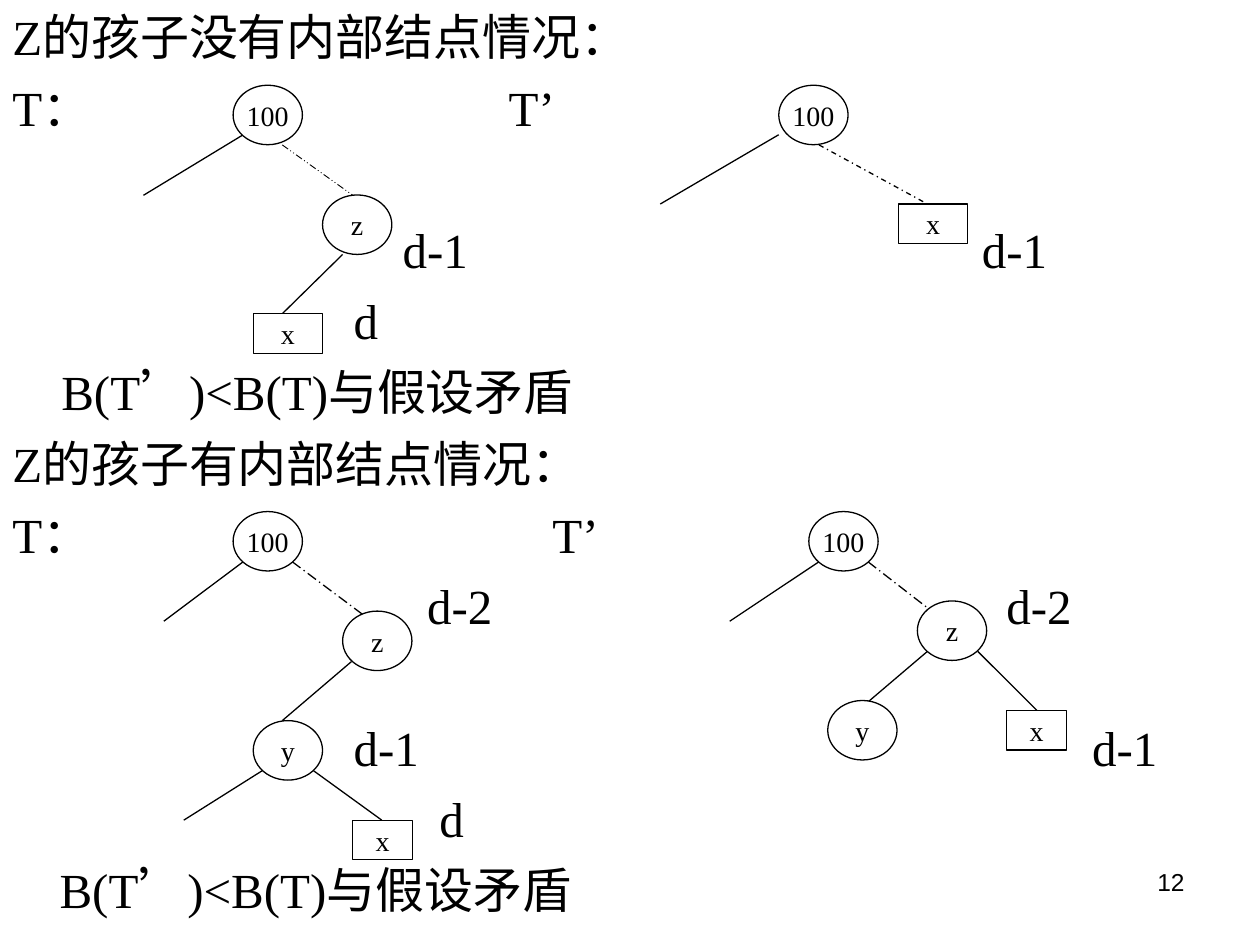
from lxml.etree import SubElement
from pptx import Presentation
from pptx.dml.color import RGBColor
from pptx.enum.dml import MSO_LINE
from pptx.enum.shapes import MSO_CONNECTOR, MSO_SHAPE
from pptx.enum.text import MSO_ANCHOR, PP_ALIGN
from pptx.oxml.ns import qn
from pptx.util import Pt

BLACK, WHITE = "000000", "FFFFFF"
SERIF, SANS = "Times New Roman", "Arial"
LINE_HEIGHT, GAP = 33.65, 7
CIRCLE, WIDE_LEAF, LEAF = (39.6, 34), (39.6, 22.6), (34, 22.6)

# Text lines: wording, tab stops, number of empty rows above
BODY = [
    ("Z的孩子没有内部结点情况：", [], 0),
    ("T：\tT’", [283.6], 0),
    ("\td-1\td-1", [223, 554], 1),
    ("\td", [195], 0),
    ("\tB(T’)<B(T)与假设矛盾", [28], 0),
    ("Z的孩子有内部结点情况：", [], 0),
    ("T：\tT’", [308.6], 0),
    ("\td-2\td-2", [237, 568], 0),
    ("\td-1\td-1", [195, 617], 1),
    ("\td", [244], 0),
    ("\tB(T’)<B(T)与假设矛盾", [27], 0),
]

# Tree edges: start, end
SOLID_EDGES = [
    (139, 77, 82, 111.6), (445, 77, 377.3, 116.6), (195.8, 145.4, 161.3, 179.3),
    (139, 321, 93.6, 355), (200.9, 378, 161.3, 411.8),
    (150.5, 440, 105, 468.7), (178.6, 440, 218.2, 468.7),
    (468, 321, 417, 355), (530, 372.2, 490.3, 406), (558.7, 372.2, 592.6, 406),
]
# Dashed edges add a dash style and a weight
DASHED_EDGES = [
    (161.3, 82.8, 201.6, 111.6, MSO_LINE.DASH_DOT_DOT, 0.5),
    (468, 82.8, 530, 116.6, MSO_LINE.DASH_DOT, 0.75),
    (167, 321, 212.4, 355, MSO_LINE.LONG_DASH_DOT, 0.75),
    (496, 321, 547.2, 360.7, MSO_LINE.LONG_DASH_DOT, 0.75),
]

# Tree nodes: label, left, top, size
NODES = [
    ("100", 133.2, 48.7, CIRCLE), ("z", 184.3, 111.4, CIRCLE),
    ("x", 144.7, 179.3, WIDE_LEAF),
    ("100", 445, 48.7, CIRCLE), ("x", 513.4, 116.6, WIDE_LEAF),
    ("100", 133.2, 292.3, CIRCLE), ("z", 195.8, 349.2, CIRCLE),
    ("y", 144.7, 411.8, CIRCLE), ("x", 201.6, 468.7, LEAF),
    ("100", 462.2, 292.3, CIRCLE), ("z", 524.2, 343.4, CIRCLE),
    ("y", 473, 400.3, CIRCLE), ("x", 575.3, 406, LEAF),
]


def color(value):
    return RGBColor.from_string(value)


def format_paragraph(para, size, font=SERIF):
    for span in para.runs:
        span.font.size = Pt(size)
        span.font.name = font
        span.font.color.rgb = color(BLACK)


def set_tabs(para, stops):
    tab_list = SubElement(para._p.get_or_add_pPr(), qn("a:tabLst"))
    for stop in stops:
        SubElement(tab_list, qn("a:tab"), pos=str(int(Pt(stop))), algn="l")


def add_text_box(slide, left, top, width, height):
    box = slide.shapes.add_textbox(Pt(left), Pt(top), Pt(width), Pt(height))
    box.text_frame.word_wrap = True
    return box.text_frame


def add_body(slide):
    frame = add_text_box(slide, 0, 0, 702.7, 540)
    for index, (text, stops, empty_rows) in enumerate(BODY):
        para = frame.add_paragraph() if index else frame.paragraphs[0]
        para.text = text
        para.line_spacing = Pt(LINE_HEIGHT)
        para.space_before = Pt(GAP + empty_rows * (LINE_HEIGHT + GAP))
        if stops:
            set_tabs(para, stops)
        format_paragraph(para, 28)


def add_edge(slide, x1, y1, x2, y2, dash=None, weight=0.75):
    edge = slide.shapes.add_connector(
        MSO_CONNECTOR.STRAIGHT, Pt(x1), Pt(y1), Pt(x2), Pt(y2))
    edge.line.color.rgb = color(BLACK)
    edge.line.width = Pt(weight)
    if dash:
        edge.line.dash_style = dash
    SubElement(edge._element.spPr, qn("a:effectLst"))


def add_node(slide, label, left, top, size):
    kind = MSO_SHAPE.OVAL if size == CIRCLE else MSO_SHAPE.RECTANGLE
    node = slide.shapes.add_shape(kind, Pt(left), Pt(top), Pt(size[0]), Pt(size[1]))
    node.shadow.inherit = False
    node.fill.solid()
    node.fill.fore_color.rgb = color(WHITE)
    node.line.color.rgb = color(BLACK)
    node.line.width = Pt(0.75)
    frame = node.text_frame
    frame.text = label
    frame.word_wrap = False
    frame.vertical_anchor = MSO_ANCHOR.MIDDLE
    frame.paragraphs[0].alignment = PP_ALIGN.CENTER
    format_paragraph(frame.paragraphs[0], 16)


def add_page_number(slide, number):
    para = add_text_box(slide, 516.2, 491.8, 167.8, 37.4).paragraphs[0]
    para.text = number
    para.alignment = PP_ALIGN.RIGHT
    format_paragraph(para, 14, SANS)


def main():
    deck = Presentation()
    deck.slide_width, deck.slide_height = Pt(720), Pt(540)
    slide = deck.slides.add_slide(deck.slide_layouts[6])
    add_body(slide)
    # Edges lie behind the nodes
    for edge in SOLID_EDGES + DASHED_EDGES:
        add_edge(slide, *edge)
    for node in NODES:
        add_node(slide, *node)
    add_page_number(slide, "12")
    deck.save("out.pptx")


if __name__ == "__main__":
    main()
